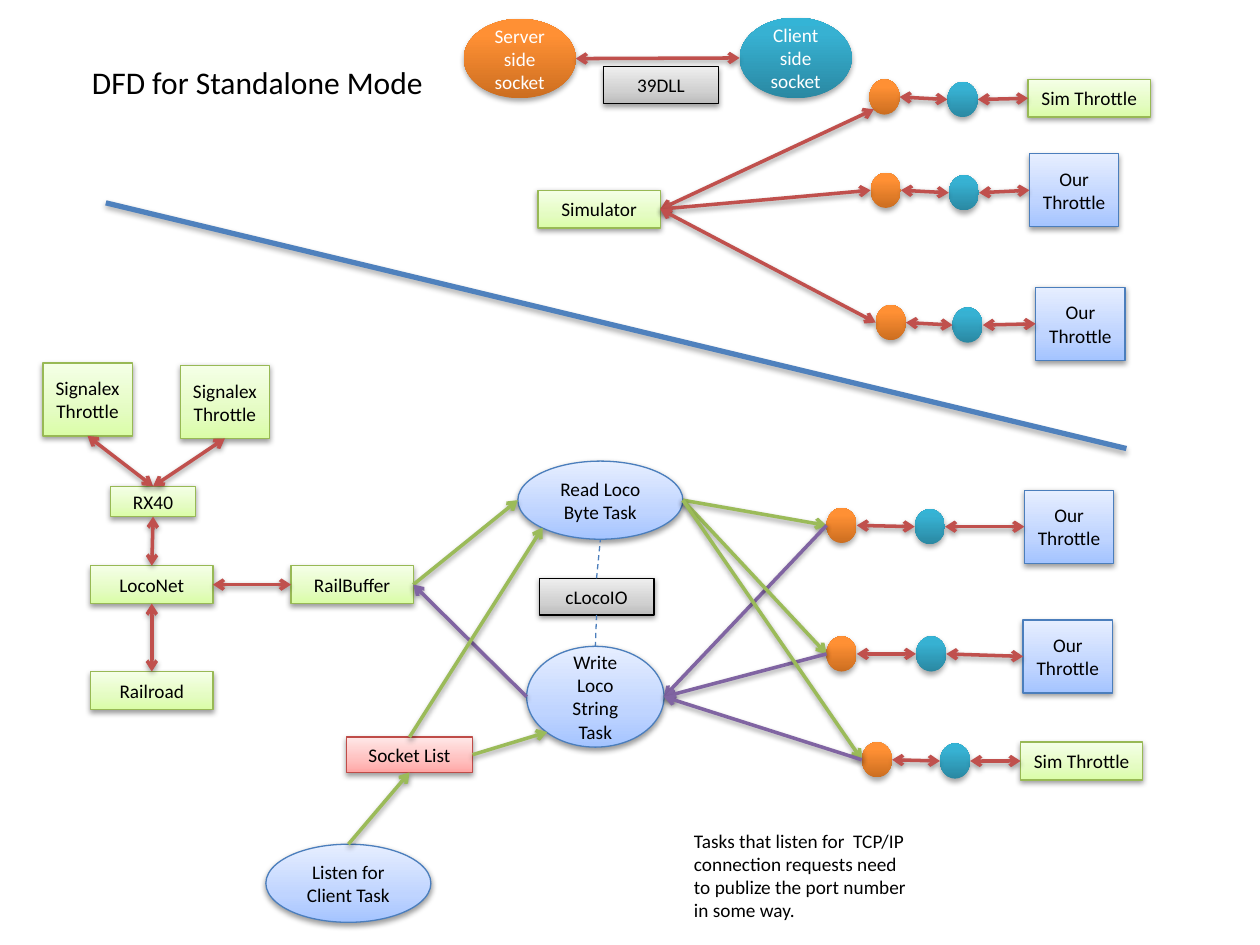
from pptx import Presentation
from pptx.dml.color import RGBColor
from pptx.enum import dml, shapes, text
from pptx.oxml.ns import qn
from pptx.util import Inches, Pt
from lxml import etree

# name: (gradient stops, line colour)
STYLES = {
    "blue": ([(0, "A4C4FF"), (35, "BFD4FF"), (100, "E6EEFF")], "4B7EBC"),
    "green": ([(0, "DAFDA7"), (35, "E4FCC2"), (100, "F5FFE7")], "98B955"),
    "gray": ([(0, "BDBDBD"), (35, "D1D1D1"), (100, "EEEEEE")], "000000"),
    "pink": ([(0, "FFA6A5"), (35, "FFC0BF"), (100, "FFE7E7")], "BF4C48"),
    "orange": ([(0, "CC6E20"), (80, "FF9034"), (100, "FF9136")], None),
    "teal": ([(0, "2A88A2"), (80, "37B1D2"), (100, "34B4D6")], None),
}
RED, GREEN, PURPLE = "C0504D", "9BBB59", "8064A2"
SIDES = {"top": (0.5, 0), "left": (0, 0.5), "bottom": (0.5, 1), "right": (1, 0.5),
         "top left": (0.15, 0.15), "bottom left": (0.15, 0.85)}
BOX, SQUARE, DOT, OVAL = (0.97, 0.3), (0.71, 0.58), (0.24, 0.28), (1.31, 0.62)
RECT, ROUND = shapes.MSO_SHAPE.RECTANGLE, shapes.MSO_SHAPE.FLOWCHART_CONNECTOR


def rgb(value):
    """Return the colour for a hex string."""
    return RGBColor.from_string(value)


def child(parent, tag, **attrs):
    """Append a DrawingML element to parent."""
    return etree.SubElement(parent, qn(tag), {k: str(v) for k, v in attrs.items()})


def add_shadow(sp, dist=20000, alpha=38):
    """Give a shape or connector a soft downward shadow."""
    effects = sp._element.spPr.find(qn("a:effectLst"))
    if effects is None:
        effects = child(sp._element.spPr, "a:effectLst")
    shadow = child(effects, "a:outerShdw", blurRad=40000, dist=dist, dir=5400000, rotWithShape=0)
    child(child(shadow, "a:srgbClr", val="000000"), "a:alpha", val=alpha * 1000)


def write(tf, content, size=11, color="000000", align=text.PP_ALIGN.CENTER,
          anchor=text.MSO_ANCHOR.MIDDLE, wrap=True):
    """Fill a text frame, one paragraph for each line."""
    tf.text = content
    tf.word_wrap = wrap
    tf.vertical_anchor = anchor
    for p in tf.paragraphs:
        p.alignment = align
        for r in p.runs:
            r.font.name, r.font.size = "Calibri", Pt(size)
            r.font.color.rgb = rgb(color)


def add_node(slide, kind, style, left, top, size, label=""):
    """Add a gradient-filled box or oval with a label."""
    sp = slide.shapes.add_shape(kind, *map(Inches, (left, top, *size)))
    stops, line = STYLES[style]
    sp.fill.gradient()
    sp.fill.gradient_angle = 90
    stop_list = sp._element.spPr.find(qn("a:gradFill")).find(qn("a:gsLst"))
    for stop in list(stop_list):
        stop_list.remove(stop)
    for pos, color in stops:
        child(child(stop_list, "a:gs", pos=pos * 1000), "a:srgbClr", val=color)
    if line:
        sp.line.color.rgb = rgb(line)
        sp.line.width = Pt(0.75)
    else:
        sp.line.fill.background()
    sp.shadow.inherit = False
    if line:
        add_shadow(sp)
    else:
        add_shadow(sp, 23000, 35)
    if label:
        write(sp.text_frame, label, color="000000" if line else "FFFFFF")
    return sp


def site(sp, side):
    """Return the point on a side of a shape."""
    fx, fy = SIDES[side]
    return int(sp.left + sp.width * fx), int(sp.top + sp.height * fy)


def add_line(slide, start, end, color, width=2, arrows=(), dash=False):
    """Draw a straight connector between two points."""
    cx = slide.shapes.add_connector(shapes.MSO_CONNECTOR.STRAIGHT, *start, *end)
    cx.line.color.rgb = rgb(color)
    cx.line.width = Pt(width)
    if dash:
        cx.line.dash_style = dml.MSO_LINE.DASH
    for tag in arrows:
        child(cx.line._get_or_add_ln(), tag, type="arrow")
    child(cx._element.spPr, "a:effectLst")
    return cx


def link(slide, a, side_a, b, side_b, color=RED):
    """Join two shapes by an arrow, two-headed when red."""
    arrows = ("a:headEnd", "a:tailEnd") if color == RED else ("a:tailEnd",)
    add_shadow(add_line(slide, site(a, side_a), site(b, side_b), color, arrows=arrows))


def add_throttle_row(slide, server_at, client_at, throttle_at, simulated=False):
    """Add a server and client socket leading to a throttle; return the server."""
    server = add_node(slide, ROUND, "orange", *server_at, DOT)
    client = add_node(slide, ROUND, "teal", *client_at, DOT)
    if simulated:
        throttle = add_node(slide, RECT, "green", *throttle_at, BOX, "Sim Throttle")
    else:
        throttle = add_node(slide, RECT, "blue", *throttle_at, SQUARE, "Our\nThrottle")
    link(slide, server, "right", client, "left")
    link(slide, client, "right", throttle, "left")
    return server


def add_simulator(slide):
    """Add the socket legend and the simulator half."""
    server = add_node(slide, ROUND, "orange", 3.68, 0.15, (0.89, 0.63), "Server side socket")
    client = add_node(slide, ROUND, "teal", 5.87, 0.14, (0.89, 0.64), "Client side socket")
    link(slide, server, "right", client, "left")
    add_node(slide, RECT, "gray", 4.79, 0.53, (0.91, 0.29), "39DLL")
    simulator = add_node(slide, RECT, "green", 4.27, 1.51, BOX, "Simulator")
    rows = [((6.9, 0.63), (7.52, 0.65), (8.16, 0.63), True),
            ((6.91, 1.37), (7.53, 1.39), (8.17, 1.22)),
            ((6.95, 2.42), (7.56, 2.44), (8.22, 2.28))]
    for row, side in zip(rows, ("bottom left", "left", "left")):
        link(slide, simulator, "right", add_throttle_row(slide, *row), side)


def add_railroad(slide):
    """Add the layout hardware and return its buffer."""
    receiver = add_node(slide, RECT, "green", 0.88, 3.86, (0.67, 0.24), "RX40")
    for left, top in ((0.34, 2.88), (1.43, 2.9)):
        throttle = add_node(slide, RECT, "green", left, top, SQUARE, "Signalex\nThrottle")
        link(slide, throttle, "bottom", receiver, "top")
    net = add_node(slide, RECT, "green", 0.72, 4.49, BOX, "LocoNet")
    buffer = add_node(slide, RECT, "green", 2.31, 4.49, BOX, "RailBuffer")
    railroad = add_node(slide, RECT, "green", 0.72, 5.33, BOX, "Railroad")
    link(slide, receiver, "bottom", net, "top")
    link(slide, net, "bottom", railroad, "top")
    link(slide, net, "right", buffer, "left")
    return buffer


def add_tasks(slide, buffer):
    """Add the tasks and the sockets they serve."""
    read = add_node(slide, ROUND, "blue", 4.11, 3.66, OVAL, "Read Loco Byte Task")
    write_task = add_node(slide, ROUND, "blue", 4.18, 5.13, (1.09, 0.8), "Write Loco String Task")
    listen = add_node(slide, ROUND, "blue", 2.11, 6.7, OVAL, "Listen for Client Task")
    sockets = add_node(slide, RECT, "pink", 2.75, 5.85, (1, 0.28), "Socket List")
    loco_io = add_node(slide, RECT, "gray", 4.28, 4.59, (0.91, 0.29), "cLocoIO")
    for side, task, task_side in (("top", read, "bottom"), ("bottom", write_task, "top")):
        add_line(slide, site(loco_io, side), site(task, task_side), "4B7EBC", 0.75, dash=True)
    link(slide, buffer, "right", read, "left", GREEN)
    link(slide, write_task, "left", buffer, "right", PURPLE)
    link(slide, listen, "top", sockets, "bottom", GREEN)
    link(slide, sockets, "top", read, "bottom left", GREEN)
    link(slide, sockets, "right", write_task, "bottom left", GREEN)
    for row in [((6.56, 4.03), (7.26, 4.04), (8.13, 3.89)),
                ((6.56, 5.05), (7.27, 5.05), (8.12, 4.92)),
                ((6.84, 5.89), (7.46, 5.9), (8.1, 5.89), True)]:
        server = add_throttle_row(slide, *row)
        link(slide, read, "right", server, "left", GREEN)
        link(slide, server, "left", write_task, "right", PURPLE)


def main():
    """Build the slide and save it."""
    prs = Presentation()
    prs.slide_width, prs.slide_height = Inches(10), Inches(7.5)
    slide = prs.slides.add_slide(prs.slide_layouts[5])
    title = slide.shapes.title
    title.left, title.top, title.width, title.height = map(Inches, (0.63, 0.45, 2.86, 0.4))
    plain = {"align": text.PP_ALIGN.LEFT, "anchor": text.MSO_ANCHOR.TOP}
    write(title.text_frame, "DFD for Standalone Mode", size=18, wrap=False, **plain)
    divider = add_line(slide, map(Inches, (0.84, 1.61)), map(Inches, (8.94, 3.56)), "4F81BD", 3)
    add_shadow(divider, 23000, 35)
    add_simulator(slide)
    add_tasks(slide, add_railroad(slide))
    note = slide.shapes.add_textbox(*map(Inches, (5.41, 6.53, 1.96, 0.84)))
    write(note.text_frame, "Tasks that listen for  TCP/IP connection requests need "
          "to publize the port number in some way.", **plain)
    prs.save("out.pptx")


if __name__ == "__main__":
    main()
